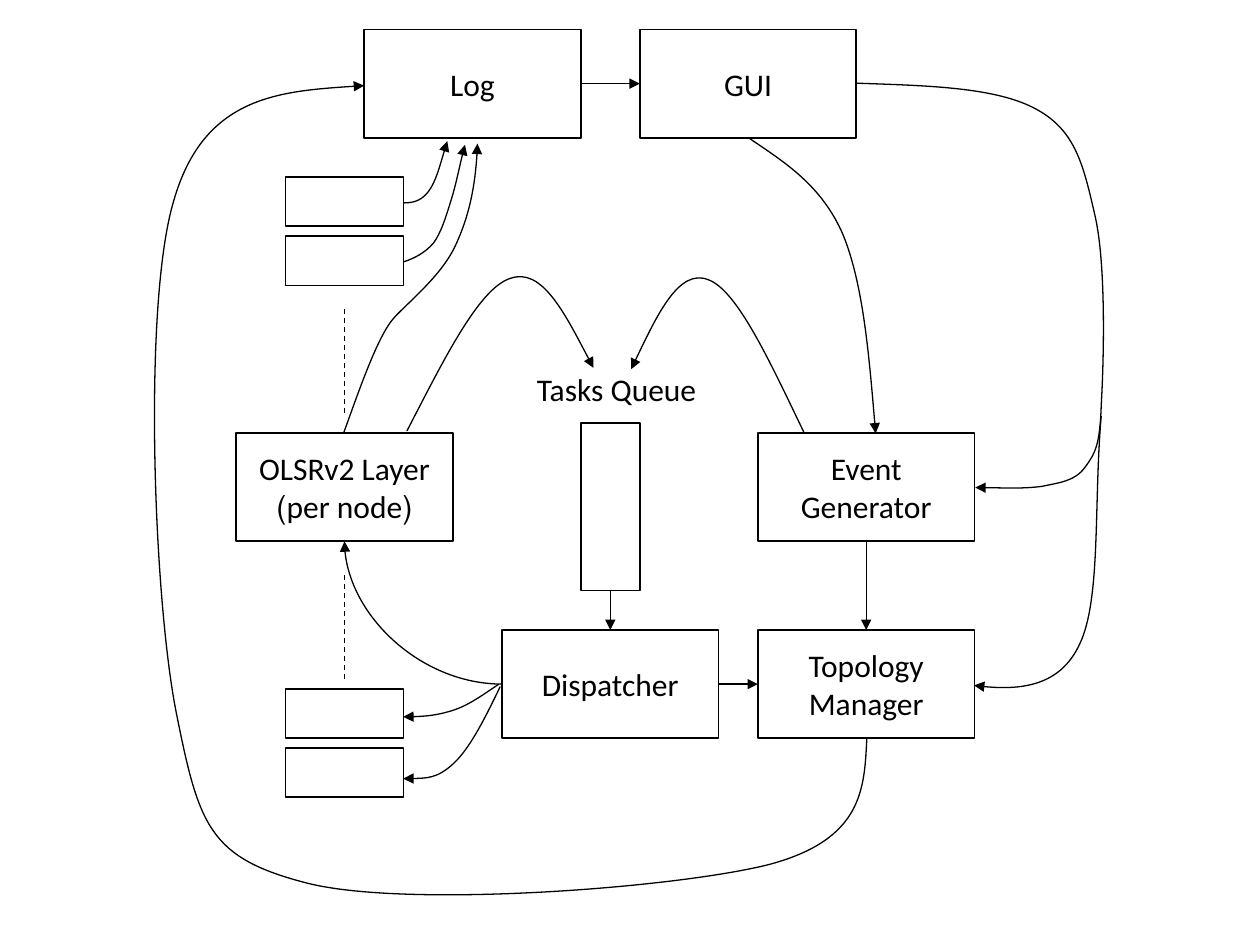
from pptx import Presentation
from pptx.dml.color import RGBColor
from pptx.enum import dml, shapes, text
from pptx.oxml.ns import qn
from pptx.util import Inches, Pt
from lxml import etree

BLACK = "000000"
FONT = "Calibri"
# Boxes, dashes and the label sit on a grid; their places count grid cells
CELL = 5 / 64
BOX_SIZE = (22, 11)
NODE_SIZE = (12, 5)

# Each curve is a start point followed by groups of two control points and an end
CURVES_WITH_END_ARROW = [
    # Nodes to Log
    [(2.73, 3.43), (2.85, 3.1), (3, 2.66), (3.13, 2.52), (3.24, 2.4), (3.5, 2.19),
     (3.61, 1.96), (3.72, 1.73), (3.78, 1.45), (3.79, 1.14)],
    [(3.2, 1.61), (3.27, 1.61), (3.34, 1.6), (3.4, 1.52), (3.46, 1.44), (3.5, 1.28),
     (3.55, 1.12)],
    [(3.2, 2.08), (3.29, 2.05), (3.37, 2.01), (3.44, 1.93), (3.5, 1.85), (3.54, 1.72),
     (3.58, 1.59), (3.62, 1.46), (3.65, 1.3), (3.69, 1.15)],
    # Dispatcher to nodes
    [(3.96, 5.43), (3.84, 5.51), (3.72, 5.6), (3.59, 5.64), (3.46, 5.68), (3.33, 5.69),
     (3.2, 5.69)],
    [(3.97, 5.45), (3.85, 5.7), (3.73, 5.94), (3.6, 6.06), (3.47, 6.18), (3.34, 6.18),
     (3.2, 6.18)],
    # GUI to Event Generator, from below and from the right
    [(5.95, 1.1), (6.23, 1.29), (6.52, 1.47), (6.69, 1.86), (6.85, 2.25), (6.9, 2.85),
     (6.95, 3.44)],
    [(6.79, 0.66), (7.35, 0.68), (7.91, 0.69), (8.23, 0.87), (8.54, 1.04), (8.6, 1.32),
     (8.69, 1.71), (8.78, 2.1), (8.76, 2.87), (8.74, 3.21), (8.73, 3.54), (8.69, 3.6),
     (8.61, 3.71), (8.53, 3.82), (8.41, 3.83), (8.27, 3.86), (8.12, 3.88), (7.93, 3.87),
     (7.74, 3.87)],
    # Event Generator and OLSRv2 Layer to Tasks Queue
    [(6.38, 3.43), (6.11, 2.87), (5.85, 2.3), (5.62, 2.22), (5.39, 2.13), (5.2, 2.53),
     (5.01, 2.93)],
    [(3.23, 3.42), (3.52, 2.86), (3.8, 2.29), (4.05, 2.21), (4.3, 2.12), (4.5, 2.52),
     (4.71, 2.92)],
    # Topology Manager to Log
    [(6.88, 5.86), (6.86, 6.26), (6.85, 6.66), (6.11, 6.86), (5.37, 7.05), (3.23, 7.21),
     (2.44, 7.01), (1.66, 6.81), (1.58, 6.56), (1.4, 5.66), (1.22, 4.76), (1.13, 2.42),
     (1.38, 1.59), (1.62, 0.76), (2.27, 0.72), (2.89, 0.68)],
]
GUI_TO_TOPOLOGY = [(7.73, 5.44), (8.01, 5.48), (8.41, 5.46), (8.57, 5.11), (8.74, 4.75),
                   (8.68, 4), (8.74, 3.3)]


def color(value):
    return RGBColor.from_string(value)


def cells(*counts):
    return [Inches(count * CELL) for count in counts]


def style_line(shape, width, arrow=None):
    shape.line.color.rgb = color(BLACK)
    shape.line.width = Pt(width)
    if arrow:
        line = shape.line._get_or_add_ln()
        etree.SubElement(line, qn(f"a:{arrow}"), type="triangle")


def write_text(shape, content, alignment=text.PP_ALIGN.CENTER):
    shape.text_frame.text = content
    for paragraph in shape.text_frame.paragraphs:
        paragraph.alignment = alignment
        # Paragraphs run from right to left
        paragraph._p.get_or_add_pPr().set("rtl", "1")
        for run in paragraph.runs:
            run.font.name = FONT
            run.font.size = Pt(18)
            run.font.color.rgb = color(BLACK)


def add_box(slide, left, top, size=BOX_SIZE, content=""):
    box = slide.shapes.add_shape(
        shapes.MSO_SHAPE.RECTANGLE, *cells(left, top, *size))
    box.shadow.inherit = False
    box.fill.background()
    style_line(box, 1)
    if content:
        box.text_frame.vertical_anchor = text.MSO_ANCHOR.MIDDLE
        write_text(box, content)
    return box


def add_label(slide, left, top, width, height, content):
    label = slide.shapes.add_textbox(*cells(left, top, width, height))
    label.text_frame.word_wrap = False
    label.text_frame.auto_size = text.MSO_AUTO_SIZE.SHAPE_TO_FIT_TEXT
    write_text(label, content, text.PP_ALIGN.RIGHT)


def add_line(slide, start=(0, 0), end=(0, 0), arrow=None,
             kind=shapes.MSO_CONNECTOR.STRAIGHT):
    line = slide.shapes.add_connector(kind, *cells(*start, *end))
    etree.SubElement(line._element.spPr, qn("a:effectLst"))
    style_line(line, 0.75, arrow)
    return line


def join(slide, source, source_side, target, target_side,
         kind=shapes.MSO_CONNECTOR.STRAIGHT):
    arrow = add_line(slide, arrow="tailEnd", kind=kind)
    arrow.begin_connect(source, source_side)
    arrow.end_connect(target, target_side)
    return arrow


def add_curve(slide, points, arrow="tailEnd"):
    start, *others = [(Inches(x), Inches(y)) for x, y in points]
    builder = slide.shapes.build_freeform(*start)
    builder.add_line_segments(others, close=False)
    curve = builder.convert_to_shape()
    # Turn every three straight segments into one Bézier segment
    segments = list(curve._element.iter(qn("a:lnTo")))
    outline = segments[0].getparent()
    for first in range(0, len(segments), 3):
        bezier = etree.SubElement(outline, qn("a:cubicBezTo"))
        for segment in segments[first:first + 3]:
            bezier.append(segment[0])
            outline.remove(segment)
    curve.shadow.inherit = False
    curve.fill.background()
    style_line(curve, 0.75, arrow)


def main():
    presentation = Presentation()
    presentation.slide_width, presentation.slide_height = Inches(10), Inches(7.5)
    slide = presentation.slides.add_slide(presentation.slide_layouts[6])

    # Components
    log = add_box(slide, 37, 3, content="Log")
    gui = add_box(slide, 65, 3, content="GUI")
    olsr_layer = add_box(slide, 24, 44, content="OLSRv2 Layer\n(per node)")
    event_generator = add_box(slide, 77, 44, content="Event Generator")
    dispatcher = add_box(slide, 51, 64, content="Dispatcher")
    topology_manager = add_box(slide, 77, 64, content="Topology Manager")

    # Tasks queue
    queue = add_box(slide, 59, 43, (6, 17))
    add_label(slide, 53, 37, 19, 5, "Tasks Queue")

    # Other nodes, with dashes standing for the ones between
    for top in (18, 24, 70, 76):
        add_box(slide, 29, top, NODE_SIZE)
    for top in (31, 58):
        dashes = add_line(slide, (35, top + 11), (35, top))
        dashes.line.dash_style = dml.MSO_LINE.DASH

    # Joined arrows
    join(slide, log, 3, gui, 1)
    join(slide, queue, 2, dispatcher, 0)
    join(slide, dispatcher, 3, topology_manager, 1)
    join(slide, event_generator, 2, topology_manager, 0)
    bend = join(slide, dispatcher, 1, olsr_layer, 2, shapes.MSO_CONNECTOR.CURVE)
    bend._element.spPr.find(qn("a:prstGeom")).set("prst", "curvedConnector2")

    # Free curves
    for points in CURVES_WITH_END_ARROW:
        add_curve(slide, points)
    add_curve(slide, GUI_TO_TOPOLOGY, "headEnd")

    presentation.save("out.pptx")


if __name__ == "__main__":
    main()
